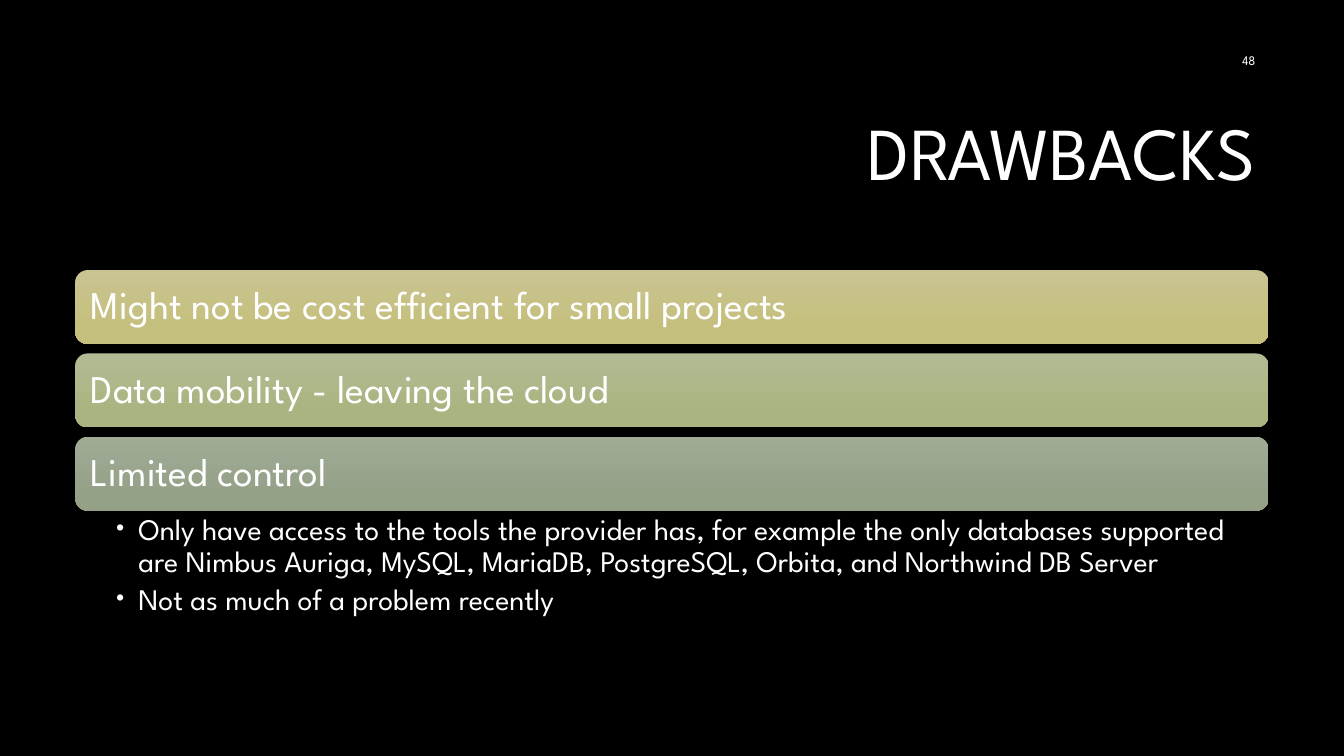
from lxml import etree
from pptx import Presentation
from pptx.dml.color import RGBColor
from pptx.enum.shapes import MSO_SHAPE as SHAPE
from pptx.enum.text import MSO_ANCHOR as ANCHOR, PP_ALIGN as ALIGN
from pptx.oxml.ns import qn
from pptx.util import Inches, Pt

FONT = "League Spartan"


def rgb(value):
    return RGBColor.from_string(value)


def write(tf, lines, size, align=ALIGN.LEFT, anchor=ANCHOR.MIDDLE, after=0, bullet=False):
    tf.word_wrap = True
    tf.vertical_anchor = anchor
    for i, line in enumerate(lines):
        p = tf.paragraphs[0] if i == 0 else tf.add_paragraph()
        p.text = line
        p.alignment = align
        p.line_spacing = 0.9
        p.space_after = Pt(after)
        if bullet:
            p.level = 1
            pPr = p._p.get_or_add_pPr()
            pPr.set("marL", str(Inches(0.19)))
            pPr.set("indent", str(Inches(-0.19)))
            etree.SubElement(pPr, qn("a:buFont")).set("typeface", FONT)
            etree.SubElement(pPr, qn("a:buChar")).set("char", "•")
        for r in p.runs:
            r.font.name = FONT
            r.font.size = Pt(size)
            r.font.color.rgb = rgb("FFFFFF")


# Widescreen 16:9 slide
prs = Presentation()
prs.slide_width = Inches(10)
prs.slide_height = Inches(10 * 9 / 16)
s = prs.slides.add_slide(prs.slide_layouts[6])
s.background.fill.solid()
s.background.fill.fore_color.rgb = rgb("000000")

# Title and slide number
title = s.shapes.add_textbox(Inches(2.38), Inches(0.63), Inches(7.06), Inches(1.06))
write(title.text_frame, ["DRAWBACKS"], 40, ALIGN.RIGHT)
number = s.shapes.add_textbox(Inches(7.19), Inches(0.31), Inches(2.25), Inches(0.3))
write(number.text_frame, ["48"], 7, ALIGN.RIGHT, after=6)

# Drawback bars, evenly stacked
left, top, width, height, pitch = 0.56, 2.01, 8.88, 0.55, 0.62
bars = [
    ("Might not be cost efficient for small projects", "C9C491", "C5BF7D"),
    ("Data mobility - leaving the cloud", "B2BB93", "AAB481"),
    ("Limited control", "A0AB96", "94A187"),
]
for i, (text, light, dark) in enumerate(bars):
    sp = s.shapes.add_shape(SHAPE.ROUNDED_RECTANGLE, Inches(left), Inches(top + i * pitch),
                            Inches(width), Inches(height))
    sp.shadow.inherit = False
    sp.line.fill.background()
    sp.fill.gradient()
    sp.fill.gradient_angle = 270
    for stop, color, position in zip(sp.fill.gradient_stops, (light, dark), (0, 0.78)):
        stop.color.rgb = rgb(color)
        stop.position = position
    tf = sp.text_frame
    tf.margin_left = tf.margin_right = tf.margin_top = tf.margin_bottom = Inches(0.09)
    write(tf, [text], 21)

# Details under the last bar
details = s.shapes.add_textbox(Inches(left), Inches(3.8), Inches(width), Inches(1.09))
tf = details.text_frame
tf.margin_left, tf.margin_right = Inches(0.28), Inches(0.16)
tf.margin_top = tf.margin_bottom = Inches(0.03)
write(tf, [
    "Only have access to the tools the provider has, for example the only databases supported "
    "are Nimbus Auriga, MySQL, MariaDB, PostgreSQL, Orbita, and Northwind DB Server",
    "Not as much of a problem recently",
], 16, anchor=ANCHOR.TOP, after=3.2, bullet=True)

prs.save("out.pptx")
